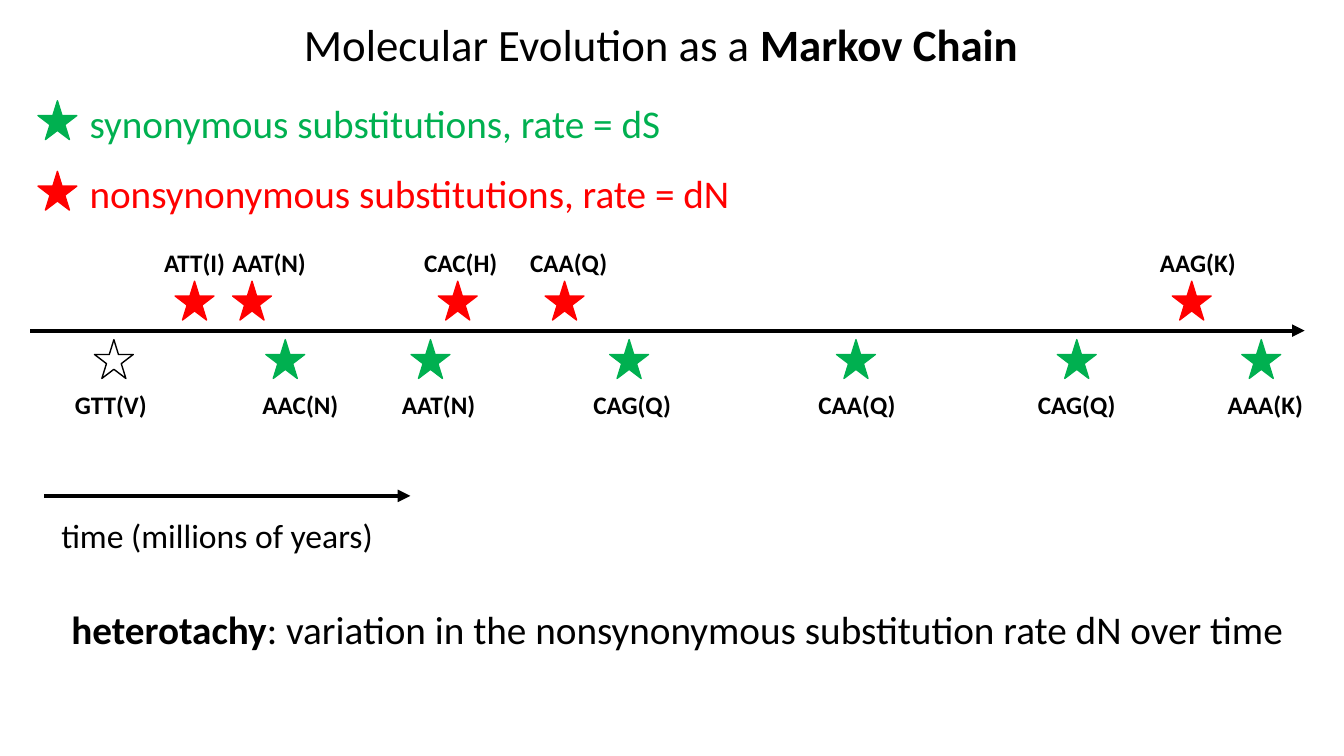
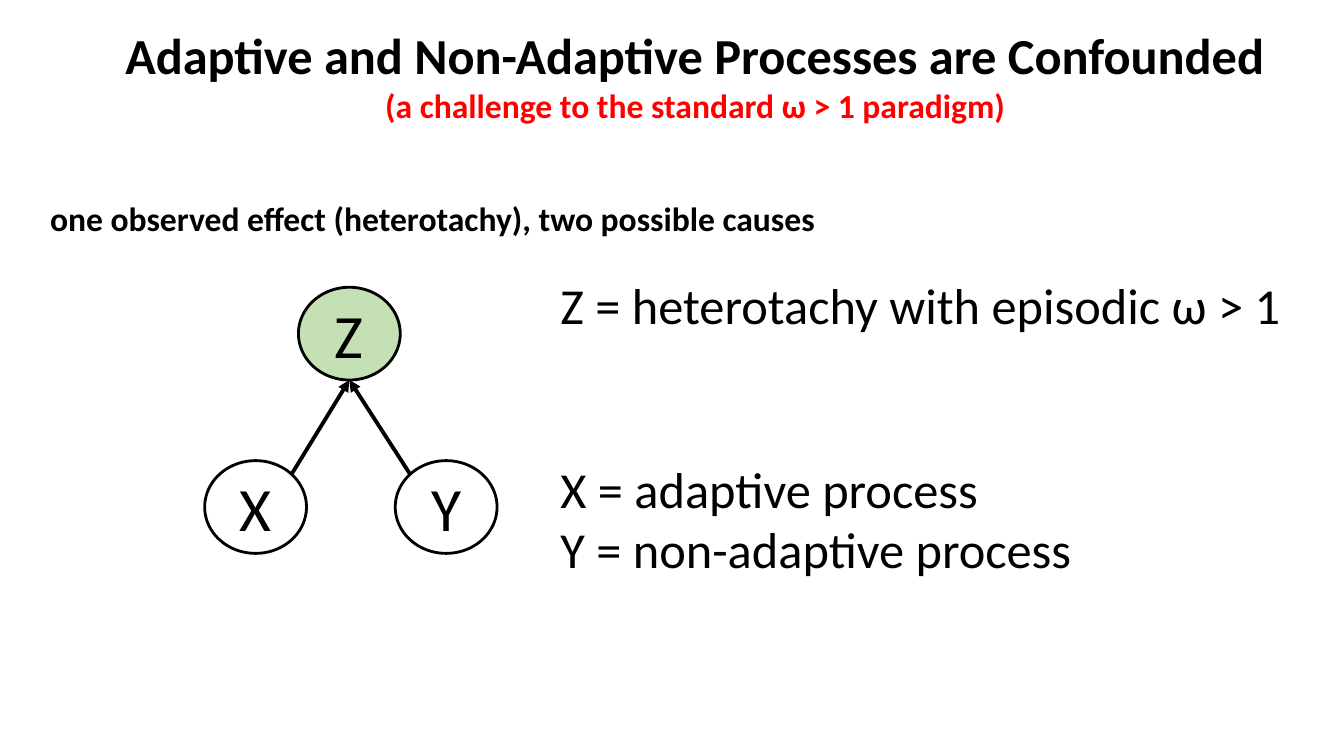
"""Build two slides on molecular evolution and its confounded causes."""
from dataclasses import dataclass
from math import sqrt

from lxml.etree import SubElement
from pptx import Presentation
from pptx.dml.color import RGBColor
from pptx.enum.shapes import MSO_CONNECTOR, MSO_SHAPE
from pptx.enum.text import MSO_ANCHOR, PP_ALIGN
from pptx.oxml.ns import qn
from pptx.slide import Slide
from pptx.util import Inches, Length, Pt

COLUMNS, ROWS = 133.3, 75
FONT = "Calibri"
BLACK, WHITE, GREEN, RED, PALE_GREEN = "000000", "FFFFFF", "00B050", "FF0000", "C5E0B4"
STAR_SIZE = 3.85
LABEL_WIDTH = 12
NODE_WIDTH, NODE_HEIGHT = 10.1, 9.2


@dataclass(frozen=True)
class Line:
    """One paragraph, as (text, bold) pieces in one size and colour."""
    pieces: tuple[tuple[str, bool], ...]
    size: float
    color: str = BLACK
    centered: bool = False
    space_before: float = 0


@dataclass(frozen=True)
class Rate:
    """One legend entry for a kind of substitution."""
    row: float
    text: str
    color: str


@dataclass(frozen=True)
class Codon:
    """One state of the chain: star centre, label shift and colour."""
    name: str
    center: float
    shift: float
    color: str


@dataclass(frozen=True)
class Node:
    """One variable of the causal graph."""
    letter: str
    left: float
    top: float
    fill: str | None = None


RATES = (
    Rate(10, "synonymous substitutions, rate = dS", GREEN),
    Rate(17, "nonsynonymous substitutions, rate = dN", RED),
)
CODONS = (
    Codon("GTT(V)", 11.3, -0.3, WHITE),
    Codon("ATT(I)", 19.3, 0, RED),
    Codon("AAT(N)", 25, 1.7, RED),
    Codon("AAC(N)", 28.3, 1.5, GREEN),
    Codon("AAT(N)", 42.7, 0.8, GREEN),
    Codon("CAC(H)", 45.4, 0.3, RED),
    Codon("CAA(Q)", 56, 0.4, RED),
    Codon("CAG(Q)", 62.4, 0.3, GREEN),
    Codon("CAA(Q)", 84.9, 0.1, GREEN),
    Codon("CAG(Q)", 106.8, 0, GREEN),
    Codon("AAG(K)", 118.2, 0.6, RED),
    Codon("AAA(K)", 125.1, 0.4, GREEN),
)
EFFECT = Node("Z", 29.6, 28.5, PALE_GREEN)
CAUSES = (Node("X", 20.3, 45.7), Node("Y", 39.2, 45.7))


def grid(cells: float) -> Length:
    """Turn grid columns or rows into a length."""
    return Inches(cells / 10)


def rgb(color: str) -> RGBColor:
    """Turn a hex string into a colour."""
    return RGBColor.from_string(color)


def line(text: str, size: float, color: str = BLACK, bold: bool = False,
         centered: bool = False, space_before: float = 0) -> Line:
    """Make a paragraph with one weight throughout."""
    return Line(((text, bold),), size, color, centered, space_before)


def fill_text(frame, lines: tuple[Line, ...]) -> None:
    """Write the paragraphs into a text frame."""
    frame.word_wrap = True
    for index, entry in enumerate(lines):
        paragraph = frame.add_paragraph() if index else frame.paragraphs[0]
        paragraph.alignment = PP_ALIGN.CENTER if entry.centered else PP_ALIGN.LEFT
        paragraph.space_before = Pt(entry.space_before)
        font = paragraph.font
        font.name, font.size = FONT, Pt(entry.size)
        font.color.rgb = rgb(entry.color)
        font.bold = entry.pieces[0][1]
        for text, bold in entry.pieces:
            run = paragraph.add_run()
            run.text = text
            if bold != font.bold:
                run.font.bold = bold


def add_text(slide: Slide, left: float, top: float, width: float,
             height: float, *lines: Line) -> None:
    """Place a text box on the grid."""
    box = slide.shapes.add_textbox(grid(left), grid(top), grid(width), grid(height))
    fill_text(box.text_frame, lines)


def add_outlined(slide: Slide, preset: MSO_SHAPE, left: float, top: float, width: float,
                 height: float, fill: str | None, outline: str, weight: float):
    """Place a filled or hollow preset shape on the grid."""
    shape = slide.shapes.add_shape(preset, grid(left), grid(top), grid(width), grid(height))
    shape.shadow.inherit = False
    if fill:
        shape.fill.solid()
        shape.fill.fore_color.rgb = rgb(fill)
    else:
        shape.fill.background()
    shape.line.color.rgb = rgb(outline)
    shape.line.width = Pt(weight)
    return shape


def add_arrow(slide: Slide, start: tuple[float, float], end: tuple[float, float],
              weight: float) -> None:
    """Draw a black arrow that points at its end."""
    arrow = slide.shapes.add_connector(
        MSO_CONNECTOR.STRAIGHT, *(grid(cells) for cells in (*start, *end)))
    arrow.line.color.rgb = rgb(BLACK)
    arrow.line.width = Pt(weight)
    properties = arrow.line._get_or_add_ln()
    SubElement(properties, qn("a:tailEnd"), type="triangle")
    SubElement(arrow._element.spPr, qn("a:effectLst"))


def add_star(slide: Slide, center: float, top: float, color: str) -> None:
    """Draw a star; a white one has a black outline."""
    outline = BLACK if color == WHITE else color
    add_outlined(slide, MSO_SHAPE.STAR_5_POINT, center - STAR_SIZE / 2, top,
                 STAR_SIZE, STAR_SIZE, color, outline, 1)


def add_codon(slide: Slide, codon: Codon) -> None:
    """Draw nonsynonymous states above the axis and the others below it."""
    star_top, label_top = (27.9, 24) if codon.color == RED else (33.7, 38.1)
    add_star(slide, codon.center, star_top, codon.color)
    add_text(slide, codon.center + codon.shift - LABEL_WIDTH / 2, label_top, LABEL_WIDTH, 4,
             line(codon.name, 18, bold=True, centered=True))


def add_node(slide: Slide, node: Node) -> None:
    """Draw a lettered ellipse."""
    ellipse = add_outlined(slide, MSO_SHAPE.OVAL, node.left, node.top,
                           NODE_WIDTH, NODE_HEIGHT, node.fill, BLACK, 2)
    ellipse.text_frame.vertical_anchor = MSO_ANCHOR.MIDDLE
    fill_text(ellipse.text_frame, (line(node.letter, 44, centered=True),))


def add_cause_arrow(slide: Slide, cause: Node, effect: Node) -> None:
    """Point from the facing diagonal of a cause to the foot of its effect."""
    inset = (1 - 1 / sqrt(2)) / 2
    across = 1 - inset if cause.left < effect.left else inset
    start = (cause.left + across * NODE_WIDTH, cause.top + inset * NODE_HEIGHT)
    foot = (effect.left + NODE_WIDTH / 2, effect.top + NODE_HEIGHT)
    add_arrow(slide, start, foot, 2.75)


def build_chain(slide: Slide) -> None:
    """Show codon substitutions along a time axis."""
    add_text(slide, -1.1 + 1.1, 1.2, COLUMNS - 2.2, 7,
             Line((("Molecular Evolution as a ", False), ("Markov Chain", True)),
                  32, centered=True))
    for rate in RATES:
        add_star(slide, 5.7, rate.row, rate.color)
        add_text(slide, 7.9, rate.row - 0.65, 75, 5.7, line(rate.text, 28, rate.color))
    add_arrow(slide, (3, 32.8), (129.4, 32.8), 3)
    for codon in CODONS:
        add_codon(slide, codon)
    add_arrow(slide, (4.4, 49.2), (40.7, 49.2), 3)
    add_text(slide, 5.1, 50.6, 36, 5, line("time (millions of years)", 24))
    add_text(slide, 2.3, 59.6, 129.7, 5.7,
             Line((("heterotachy", True),
                   (": variation in the nonsynonymous substitution rate dN over time", False)),
                  28, centered=True))


def build_causes(slide: Slide) -> None:
    """Show one effect with two possible causes."""
    add_text(slide, 6.4, 1.9, 125.1, 12,
             line("Adaptive and Non-Adaptive Processes are Confounded", 36,
                  bold=True, centered=True),
             line("(a challenge to the standard ω > 1 paradigm)", 24, RED,
                  bold=True, centered=True))
    add_text(slide, 2.5, 19.1, 80.8, 5,
             line("one observed effect (heterotachy), two possible causes", 24,
                  bold=True, centered=True))
    for node in (EFFECT, *CAUSES):
        add_node(slide, node)
    for cause in CAUSES:
        add_cause_arrow(slide, cause, EFFECT)
    add_text(slide, 54.6, 26.7, 78, 31.3,
             line("Z = heterotachy with episodic ω > 1", 36),
             line("X = adaptive process", 36, space_before=88),
             line("Y = non-adaptive process", 36))


def main() -> None:
    """Build and save the presentation."""
    deck = Presentation()
    deck.slide_width, deck.slide_height = grid(COLUMNS), grid(ROWS)
    blank = deck.slide_layouts[6]
    for build in (build_chain, build_causes):
        build(deck.slides.add_slide(blank))
    deck.save("out.pptx")


if __name__ == "__main__":
    main()
